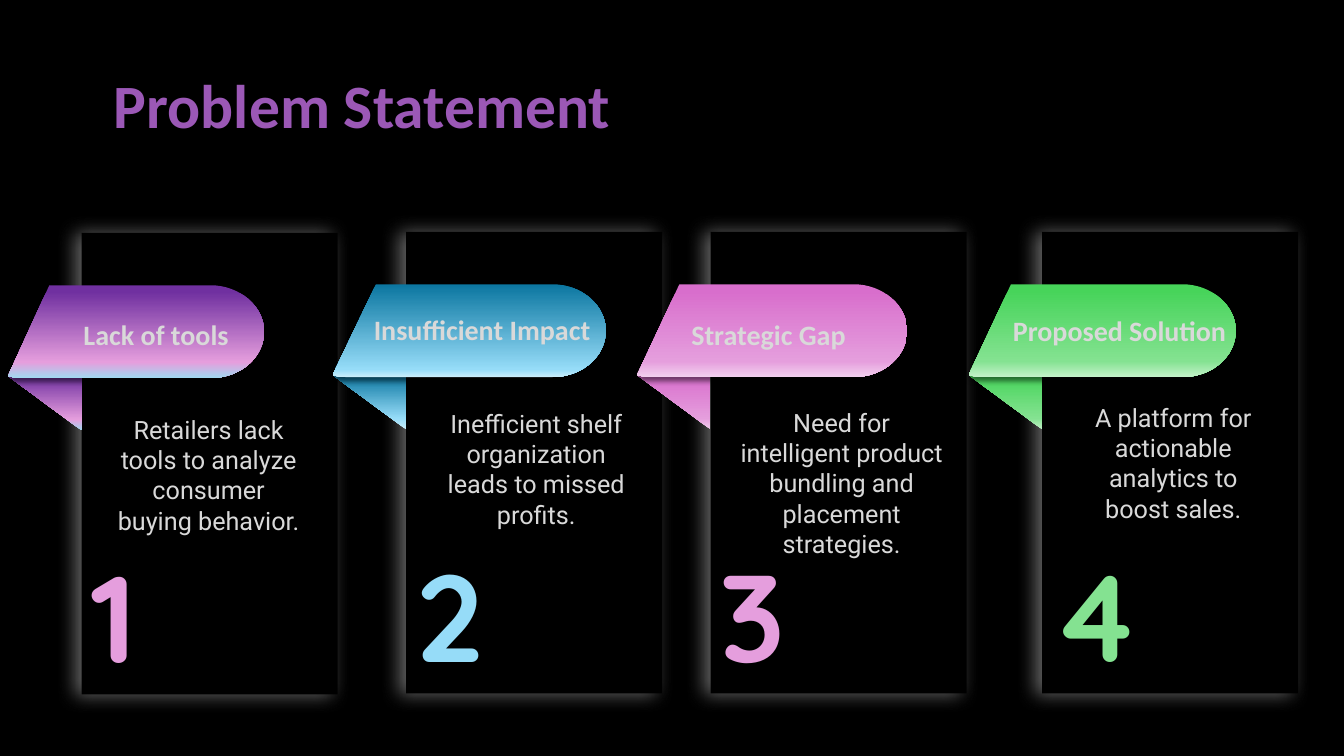
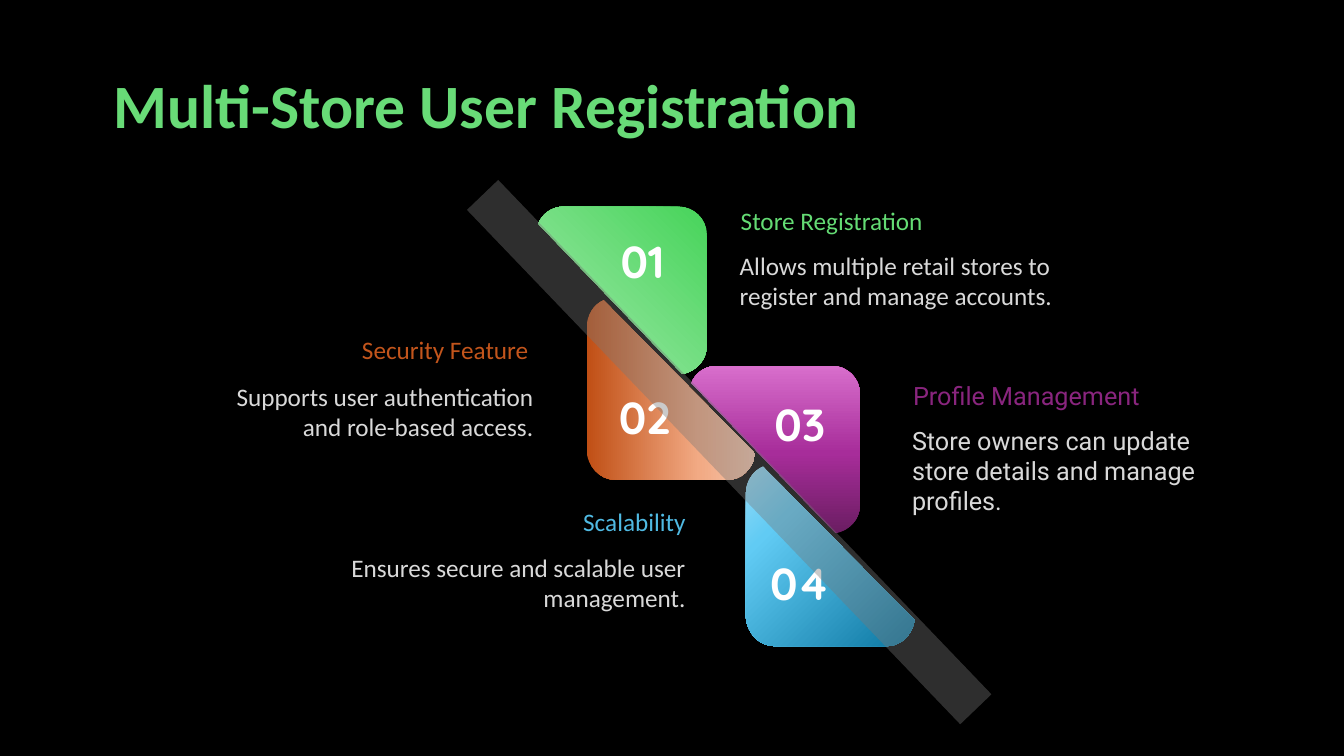
from lxml import etree
from pptx import Presentation
from pptx.dml.color import RGBColor
from pptx.enum.shapes import MSO_SHAPE
from pptx.enum.text import MSO_ANCHOR, MSO_AUTO_SIZE, PP_ALIGN
from pptx.oxml import parse_xml
from pptx.oxml.ns import nsdecls, qn
from pptx.util import Inches, Pt

LEFT, CENTER, RIGHT = PP_ALIGN.LEFT, PP_ALIGN.CENTER, PP_ALIGN.RIGHT
RECTANGLE, RIGHT_TRIANGLE = MSO_SHAPE.RECTANGLE, MSO_SHAPE.RIGHT_TRIANGLE
TITLE_ONLY = 5
SLIDE_WIDTH, SLIDE_HEIGHT = 40 / 3, 7.5

COLORS = {
    "black": "000000", "white": "FFFFFF", "text": "D9D9D9", "band": "787878",
    "purple title": "9B58B6", "green title": "68DB77",
    "green": "64DB74", "orange": "C3551C", "violet": "89257E", "blue": "50BAE3",
}

# Ribbon gradients run from dark through middle to light, at these percentages.
CARDS = [
    {"left": 0.81, "top": 2.31, "ribbon": 2.54, "slant": 0.41,
     "heading": ("Lack of tools", 0.73, 3.1, 1.79),
     "body": ("Retailers lack tools to analyze consumer buying behavior.", 1.03, 4.06, 2.08),
     "gradient": ("7030A0", "E59EDD", "A2D8F0"), "stops": (7, 83, 100)},
    {"left": 4.03, "top": 2.3, "ribbon": 2.71, "slant": 0.43,
     "heading": ("Insufficient Impact", 3.61, 3.05, 2.72),
     "body": ("Inefficient shelf organization leads to missed profits.", 4.28, 4.0, 2.08),
     "gradient": ("0B76A0", "96DCF8", "CAEEFB"), "stops": (0, 92, 100)},
    {"left": 7.05, "top": 2.3, "ribbon": 2.68, "slant": 0.42,
     "heading": ("Strategic Gap", 6.76, 3.1, 1.79),
     "body": ("Need for intelligent product bundling and placement strategies.", 7.2, 3.99, 2.3),
     "gradient": ("D86ECC", "E59EDD", "F2CFEE"), "stops": (7, 83, 100)},
    {"left": 10.34, "top": 2.3, "ribbon": 2.65, "slant": 0.42,
     "heading": ("Proposed Solution", 9.95, 3.06, 2.52),
     "body": ("A platform for actionable analytics to boost sales.", 10.6, 3.94, 2.08),
     "gradient": ("47D45A", "84E291", "C2F1C8"), "stops": (7, 83, 100)},
]
CARD_WIDTH, CARD_HEIGHT = 2.54, 4.58
FOLD_WIDTH, FOLD_HEIGHT = 0.73, 0.54
# Distances below the top of a card.
RIBBON_DROP, FOLD_DROP, NUMBER_DROP = 0.52, 1.42, 3.0

# Outlines: a pair is a straight line, six numbers are a cubic curve.
UPPER_TILE = [
    (0.25, 0), (1.39, 0), (1.54, 0, 1.67, 0.12, 1.67, 0.27), (1.67, 1.39),
    (1.67, 1.52, 1.57, 1.63, 1.44, 1.66), (1.43, 1.66), (0, 0.17),
    (0.04, 0.07, 0.14, 0, 0.25, 0),
]
LOWER_TILE = [
    (0, 0.27), (0, 1.48), (0, 1.64, 0.13, 1.78, 0.28, 1.78), (1.4, 1.78),
    (1.53, 1.78, 1.64, 1.68, 1.67, 1.54), (1.67, 1.52), (0.17, 0),
    (0.07, 0.04, 0, 0.15, 0, 0.27),
]
# An angle of None makes a radial gradient centred on the bottom right corner.
TILES = [
    {"number": "02", "at": (5.82, 2.98), "number at": (5.87, 3.82), "outline": LOWER_TILE,
     "stops": [(0, "C04F15"), (67, "F2AA84"), (100, "F6C6AD")], "angle": 0},
    {"number": "04", "at": (7.4, 4.63), "number at": (7.41, 5.46), "outline": LOWER_TILE,
     "stops": [(0, "0B76A0"), (75, "61CBF4"), (100, "96DCF8")], "angle": None},
    {"number": "01", "at": (5.34, 2.05), "number at": (5.85, 2.27), "outline": UPPER_TILE,
     "stops": [(0, "47D45A"), (67, "84E291"), (100, "C2F1C8")], "angle": 135},
    {"number": "03", "at": (6.86, 3.63), "number at": (7.41, 3.89), "outline": UPPER_TILE,
     "stops": [(0, "6B1D62"), (48, "A72D9A"), (100, "D86ECC")], "angle": 270},
]
BAND_ANGLE = 316.2

# Each text is followed by its box.
FEATURES = [
    {"color": "green", "font": "Calibri", "align": LEFT,
     "heading": ("Store Registration", (7.25, 1.99, 2.02, 0.4)),
     "body": ("Allows multiple retail stores to register and manage accounts.",
              (7.24, 2.43, 3.36, 1.01))},
    {"color": "orange", "font": "Calibri", "align": RIGHT,
     "heading": ("Security Feature", (3.32, 3.27, 2.02, 0.4)),
     "body": ("Supports user authentication and role-based access.",
              (1.87, 3.73, 3.52, 1.01))},
    {"color": "blue", "font": "Calibri", "align": RIGHT,
     "heading": ("Scalability", (4.88, 4.97, 2.02, 0.4)),
     "body": ("Ensures secure and scalable user management.", (3.38, 5.43, 3.52, 1.01))},
    {"color": "violet", "font": "Roboto", "align": LEFT,
     "heading": ("Profile Management", (8.96, 3.72, 2.5, 0.4)),
     "body": ("Store owners can update store details and manage profiles.",
              (8.95, 4.17, 3.36, 1.01))},
]


def inches(*lengths):
    return [Inches(length) for length in lengths]


def write(text_frame, text, size, font, color, bold=False, align=LEFT):
    text_frame.word_wrap = True
    text_frame.auto_size = MSO_AUTO_SIZE.NONE
    text_frame.vertical_anchor = MSO_ANCHOR.TOP
    paragraph = text_frame.paragraphs[0]
    paragraph.alignment = align
    run = paragraph.add_run()
    run.text = text
    run.font.size = Pt(size)
    run.font.name = font
    run.font.bold = bold
    run.font.color.rgb = RGBColor.from_string(color)


def add_text(shapes, box, *args, **options):
    write(shapes.add_textbox(*inches(*box)).text_frame, *args, **options)


def clear_style(shape):
    shape.shadow.inherit = False
    shape.line.fill.background()


def add_block(shapes, kind, box, color, rotation=0):
    shape = shapes.add_shape(kind, *inches(*box))
    clear_style(shape)
    shape.fill.solid()
    shape.fill.fore_color.rgb = RGBColor.from_string(color)
    shape.rotation = rotation
    return shape


def add_outline(shapes, left, top, outline):
    """Draw the end points as a freeform, then bend the curved segments."""
    corners = [inches(left + segment[-2], top + segment[-1]) for segment in outline]
    builder = shapes.build_freeform(*corners[0])
    builder.add_line_segments(corners[1:], close=True)
    shape = builder.convert_to_shape()
    clear_style(shape)
    lines = list(shape._element.spPr.iter(qn("a:lnTo")))
    for line, segment in zip(lines, outline[1:]):
        if len(segment) == 6:
            curve = etree.Element(qn("a:cubicBezTo"))
            for x, y in zip(segment[::2], segment[1::2]):
                etree.SubElement(curve, qn("a:pt"), x=str(Inches(left + x) - shape.left),
                                 y=str(Inches(top + y) - shape.top))
            line.getparent().replace(line, curve)
    return shape


def fill_gradient(shape, stops, angle):
    shape.fill.gradient()
    gradient = shape._element.spPr.find(qn("a:gradFill"))
    for child in list(gradient):
        gradient.remove(child)
    stop_list = etree.SubElement(gradient, qn("a:gsLst"))
    for position, color in stops:
        stop = etree.SubElement(stop_list, qn("a:gs"), pos=str(position * 1000))
        etree.SubElement(stop, qn("a:srgbClr"), val=color)
    if angle is None:
        gradient.append(parse_xml(
            f'<a:path {nsdecls("a")} path="circle"><a:fillToRect l="100000" t="100000"/></a:path>'))
    else:
        etree.SubElement(gradient, qn("a:lin"), ang=str(angle * 60000), scaled="0")


def add_shadow(shape, color, opacity, blur, distance, angle):
    effects = shape._element.spPr.find(qn("a:effectLst"))
    effects.append(parse_xml(
        f'<a:outerShdw {nsdecls("a")} blurRad="{Pt(blur)}" dist="{Pt(distance)}" '
        f'dir="{angle * 60000}" algn="ctr" rotWithShape="0"><a:srgbClr val="{color}">'
        f'<a:alpha val="{opacity * 1000}"/></a:srgbClr></a:outerShdw>'))


def set_opacity(shape, percent):
    color = shape._element.spPr.find(qn("a:solidFill"))[0]
    etree.SubElement(color, qn("a:alpha"), val=str(percent * 1000))


def add_slide(presentation, title, color, title_width):
    slide = presentation.slides.add_slide(presentation.slide_layouts[TITLE_ONLY])
    placeholder = slide.shapes.title
    backdrop = add_block(slide.shapes, RECTANGLE, (0, 0, SLIDE_WIDTH, SLIDE_HEIGHT),
                         COLORS["black"])
    placeholder._element.addprevious(backdrop._element)
    placeholder.left, placeholder.top, placeholder.width, placeholder.height = inches(
        1.03, 0.61, title_width, 1.58)
    write(placeholder.text_frame, title, 44, "Calibri", color, bold=True)
    return slide


def ribbon_outline(width, slant):
    """Slanted on the left, rounded on the right."""
    straight = width - 0.53
    return [
        (slant, 0), (straight, 0), (straight + 0.29, 0, width, 0.21, width, 0.46),
        (width, 0.72, straight + 0.29, 0.92, straight, 0.92),
        (0.14, 0.92), (0.11, 0.92, 0.07, 0.92, 0.04, 0.91), (0, 0.9),
    ]


def add_card(slide, number, card):
    shapes = slide.shapes.add_group_shape().shapes
    left, top = card["left"], card["top"]
    fold_left = left - FOLD_WIDTH
    dark, middle, light = card["gradient"]

    panel = add_block(shapes, RECTANGLE, (left, top, CARD_WIDTH, CARD_HEIGHT), COLORS["black"])
    add_shadow(panel, COLORS["white"], 40, 14, 5, 180)
    add_text(shapes, (left, top + NUMBER_DROP, 1.21, 1.58), str(number), 88, "Quicksand",
             middle, bold=True)

    fold = add_block(shapes, RIGHT_TRIANGLE,
                     (fold_left, top + FOLD_DROP, FOLD_WIDTH, FOLD_HEIGHT), middle, rotation=180)
    fill_gradient(fold, [(0, light), (20, middle), (100, dark)], 90)
    ribbon = add_outline(shapes, fold_left, top + RIBBON_DROP,
                         ribbon_outline(card["ribbon"], card["slant"]))
    fill_gradient(ribbon, list(zip(card["stops"], card["gradient"])), 90)
    add_shadow(ribbon, COLORS["black"], 50, 4, 3, 90)

    heading, x, y, width = card["heading"]
    add_text(shapes, (x, y, width, 0.44), heading, 20, "Calibri", COLORS["text"], bold=True)
    body, x, y, width = card["body"]
    add_text(shapes, (x, y, width, 1.62), body, 18, "Roboto", COLORS["text"], align=CENTER)


def add_tile(slide, tile):
    shapes = slide.shapes.add_group_shape().shapes
    shape = add_outline(shapes, *tile["at"], tile["outline"])
    fill_gradient(shape, tile["stops"], tile["angle"])
    add_text(shapes, (*tile["number at"], 1.05, 0.64), tile["number"], 32, "Quicksand",
             COLORS["white"], bold=True, align=CENTER)


def add_feature(slide, feature):
    for part, color in (("body", "text"), ("heading", feature["color"])):
        text, box = feature[part]
        add_text(slide.shapes, box, text, 18, feature["font"], COLORS[color],
                 align=feature["align"])


def main():
    presentation = Presentation()
    presentation.slide_width, presentation.slide_height = inches(SLIDE_WIDTH, SLIDE_HEIGHT)

    problem = add_slide(presentation, "Problem Statement", COLORS["purple title"], 5.27)
    for number, card in enumerate(CARDS, start=1):
        add_card(problem, number, card)

    registration = add_slide(presentation, "Multi-Store User Registration",
                             COLORS["green title"], 8.87)
    add_block(registration.shapes, RECTANGLE, (7.28, 0.84, 0.09, 7.01), COLORS["black"], BAND_ANGLE)
    for tile in TILES:
        add_tile(registration, tile)
    band = add_block(registration.shapes, RECTANGLE, (7.02, 0.95, 0.43, 7.07), COLORS["band"],
                     BAND_ANGLE)
    set_opacity(band, 39)
    for feature in FEATURES:
        add_feature(registration, feature)

    presentation.save("out.pptx")


if __name__ == "__main__":
    main()
